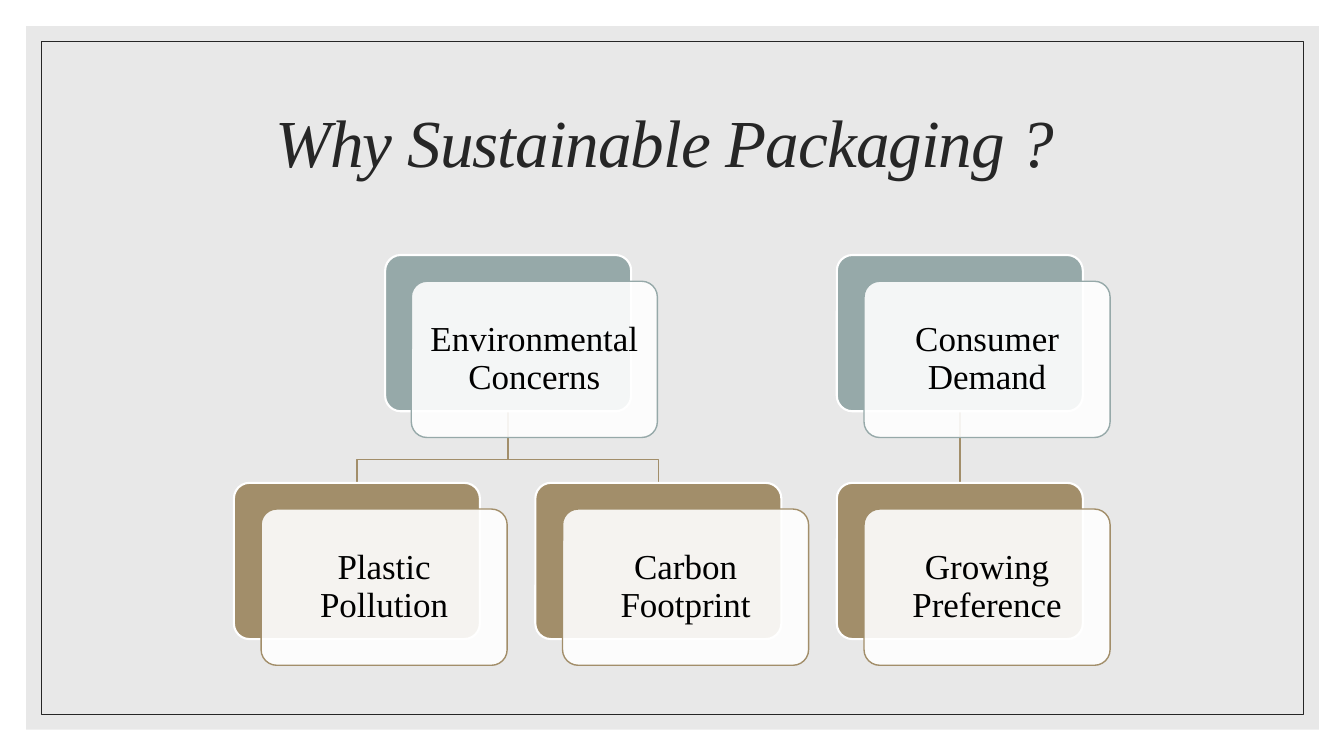
"""Build the sustainable packaging slide: a framed title above a two-level tree."""
from dataclasses import dataclass

from lxml import etree
from pptx import Presentation
from pptx import util as u
from pptx.dml.color import RGBColor
from pptx.enum import shapes, text
from pptx.oxml.ns import qn


@dataclass(frozen=True)
class Theme:
    """Colours, font and type sizes of the slide."""
    font: str = "Times New Roman"
    title_size: int = 48
    card_size: int = 25
    ink: str = "262626"
    label: str = "000000"
    panel: str = "D9D9D9"
    paper: str = "FFFFFF"
    reason: str = "96A9A9"
    detail: str = "A28E6A"


T = Theme()
CARD_W, CARD_H = 244, 155
SHIFT_X, SHIFT_Y = 27, 26
COL_STEP, ROW_STEP = 299, 226
BEND = 48
TREE = [
    ("Environmental Concerns", ["Plastic Pollution", "Carbon Footprint"]),
    ("Consumer Demand", ["Growing Preference"]),
]


def px(n):
    """Turn px, 100 to the inch, into EMU."""
    return u.Emu(round(n) * 9144)


def set_line(sp, color, width):
    """Give a shape or connector a solid line."""
    sp.line.color.rgb = RGBColor.from_string(color)
    sp.line.width = u.Pt(width)


def add_box(s, box, fill=None, alpha=100, line=None, width=1, radius=None):
    """Add a rectangle, rounded when a radius ratio is given."""
    kind = shapes.MSO_SHAPE.RECTANGLE if radius is None else shapes.MSO_SHAPE.ROUNDED_RECTANGLE
    sp = s.shapes.add_shape(kind, *map(px, box))
    sp.shadow.inherit = False
    if radius is not None:
        sp.adjustments[0] = radius
    if fill:
        sp.fill.solid()
        sp.fill.fore_color.rgb = RGBColor.from_string(fill)
        if alpha < 100:
            clr = sp.fill._xPr.find(".//" + qn("a:srgbClr"))
            etree.SubElement(clr, qn("a:alpha"), val=str(alpha * 1000))
    else:
        sp.fill.background()
    if line:
        set_line(sp, line, width)
    else:
        sp.line.fill.background()
    return sp


def write(sp, words, size, color, italic=False, spacing=None):
    """Write one centred paragraph into a shape."""
    tf = sp.text_frame
    tf.word_wrap = True
    tf.auto_size = text.MSO_AUTO_SIZE.NONE
    tf.vertical_anchor = text.MSO_ANCHOR.MIDDLE
    tf.margin_left = tf.margin_right = tf.margin_top = tf.margin_bottom = px(10)
    p = tf.paragraphs[0]
    p.alignment = text.PP_ALIGN.CENTER
    p.line_spacing = 0.9
    r = p.add_run()
    r.text = words
    r.font.name = T.font
    r.font.size = u.Pt(size)
    r.font.italic = italic
    r.font.color.rgb = RGBColor.from_string(color)
    if spacing is not None:
        r.font._element.set("spc", str(round(spacing * 100)))


def add_frame(s, box):
    """Draw the grey panel and the thin border inside it."""
    x, y, w, h = box
    add_box(s, box, fill=T.panel, alpha=60)
    add_box(s, (x + 15, y + 15, w - 30, h - 30), line=T.ink, width=0.5)


def add_title(s, box, words):
    """Place the title placeholder above the frame."""
    sp = s.shapes.title
    sp.left, sp.top, sp.width, sp.height = map(px, box)
    sp._element.getparent().append(sp._element)
    write(sp, words, T.title_size, T.ink, italic=True, spacing=-0.7)


def add_card(s, x, y, words, color):
    """Draw a coloured card with a translucent label card over it."""
    add_box(s, (x, y, CARD_W, CARD_H), fill=color, line=T.paper, width=1.5, radius=0.1)
    sp = add_box(s, (x + SHIFT_X, y + SHIFT_Y, CARD_W, CARD_H),
                 fill=T.paper, alpha=90, line=color, radius=0.1)
    write(sp, words, T.card_size, T.label)


def add_branch(s, parent_x, child_x, top, bottom):
    """Link a parent to a child, bending when they are not aligned."""
    if parent_x == child_x:
        sp = s.shapes.add_connector(shapes.MSO_CONNECTOR.STRAIGHT,
                                    px(parent_x), px(top), px(child_x), px(bottom))
        etree.SubElement(sp._element.spPr, qn("a:effectLst"))
    else:
        fb = s.shapes.build_freeform(px(parent_x), px(top))
        fb.add_line_segments([(px(parent_x), px(top + BEND)), (px(child_x), px(top + BEND)),
                              (px(child_x), px(bottom))], close=False)
        sp = fb.convert_to_shape()
        sp.shadow.inherit = False
        sp.fill.background()
    set_line(sp, T.detail, 1)


def add_tree(s, box, tree):
    """Lay out each reason centred above its details, links at the back."""
    left, top, _, _ = box
    cards, col = [], 0
    for reason, details in tree:
        xs = [left + (col + i) * COL_STEP for i in range(len(details))]
        col += len(details)
        parent = sum(xs) / len(xs)
        cards.append((parent, top, reason, T.reason))
        for x, detail in zip(xs, details):
            cards.append((x, top + ROW_STEP, detail, T.detail))
            add_branch(s, parent + CARD_W / 2, x + CARD_W / 2, top + CARD_H, top + ROW_STEP)
    for card in cards:
        add_card(s, *card)


def main():
    """Build and save the slide."""
    prs = Presentation()
    prs.slide_width, prs.slide_height = px(1333), px(750)
    s = prs.slides.add_slide(prs.slide_layouts[5])
    add_frame(s, (26, 26, 1282, 698))
    add_title(s, (117, 70, 1100, 150), "Why Sustainable Packaging ? ")
    add_tree(s, (232, 253, 869, 407), TREE)
    prs.save("out.pptx")


if __name__ == "__main__":
    main()
